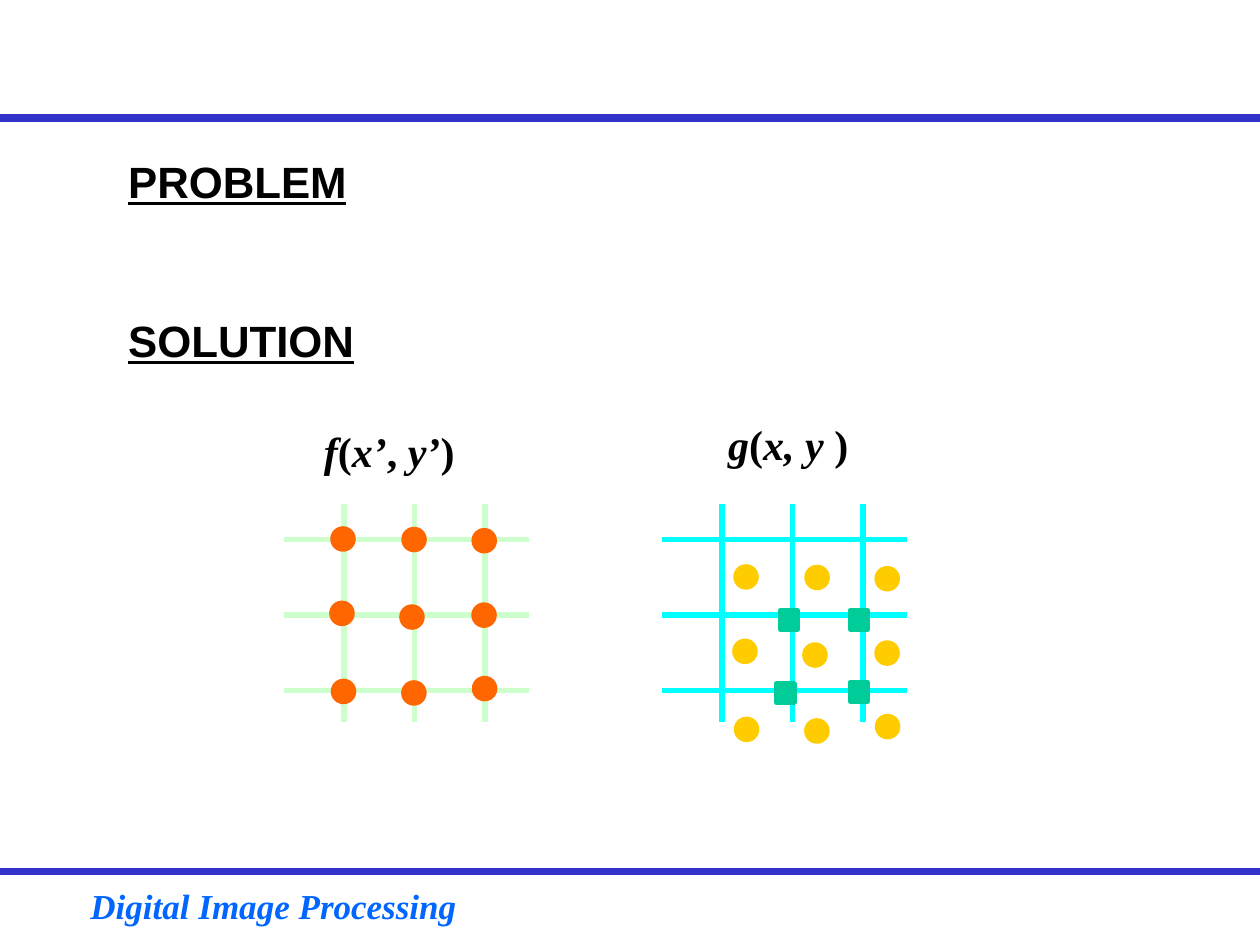
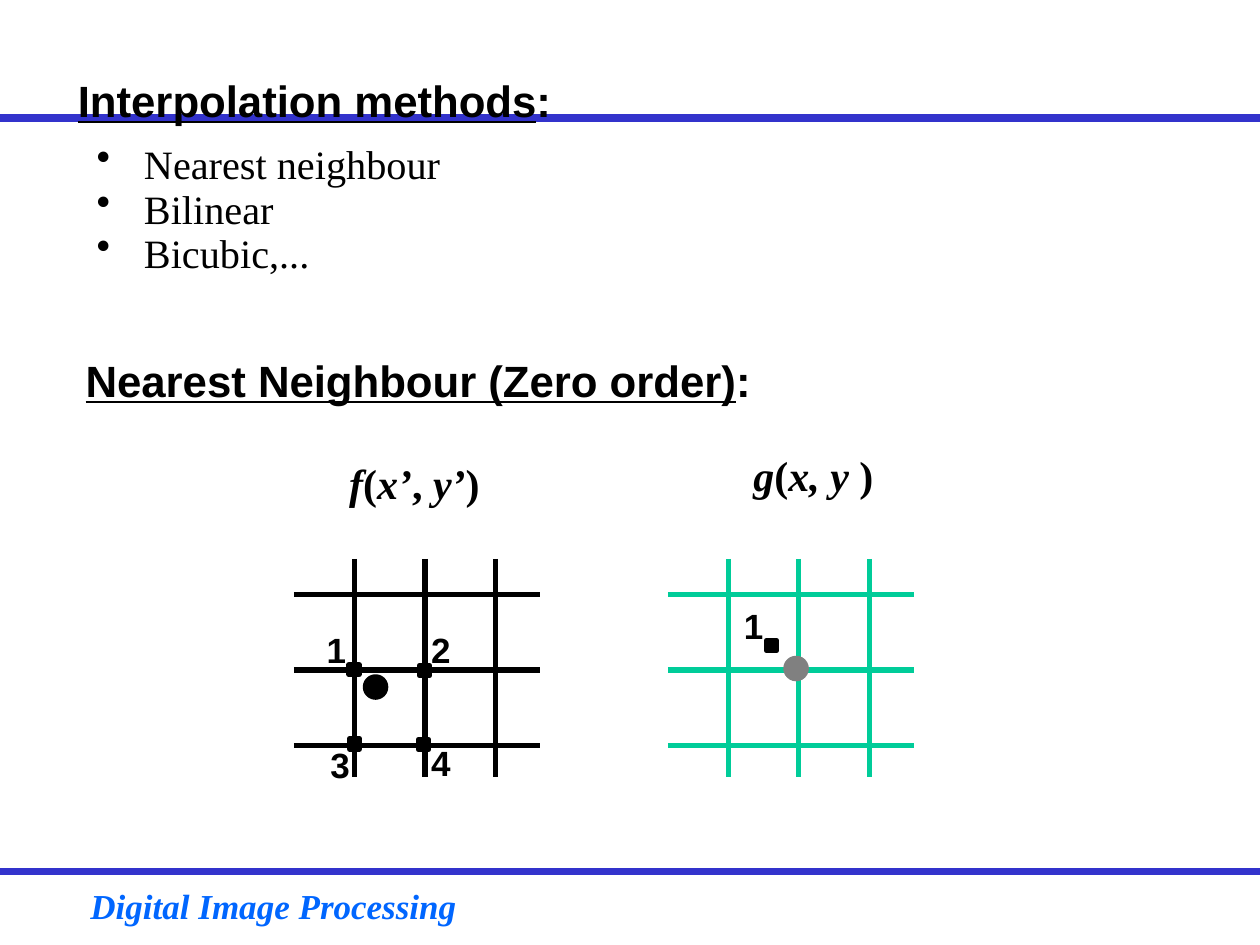
from dataclasses import dataclass
from lxml import etree
from pptx import Presentation
from pptx.dml.color import RGBColor as RGB
from pptx.enum.shapes import MSO_CONNECTOR as Link, MSO_SHAPE as Kind
from pptx.enum.text import MSO_ANCHOR as Anchor, PP_ALIGN as Align
from pptx.oxml.ns import qn
from pptx.util import Pt


@dataclass(frozen=True)
class Theme:
    rule: str = "3333CC"
    brand: str = "0066FF"
    ink: str = "000000"
    paper: str = "FFFFFF"
    mint: str = "CCFFCC"
    cyan: str = "00FFFF"
    green: str = "00CC99"
    orange: str = "FF6600"
    gold: str = "FFCC00"
    gray: str = "808080"
    sans: str = "Arial"
    serif: str = "Times New Roman"
    head: float = 25
    math: float = 24
    body: float = 23
    small: float = 20


T = Theme()
HEAD = {"name": T.sans, "size": Pt(T.head), "bold": True, "underline": True}
MATH = {"name": T.serif, "size": Pt(T.math), "bold": True, "italic": True}
BODY = {"name": T.serif, "size": Pt(T.body)}
LABEL = {"name": T.sans, "size": Pt(T.small), "bold": True}
FOOT = {"name": T.serif, "size": Pt(T.small), "bold": True, "italic": True}
CENTER = {"vertical_anchor": Anchor.MIDDLE, "word_wrap": False}

ROMAN = {"italic": False}
COLON = (":", {"underline": False})
SOURCE = [("f", {}), ("(", ROMAN), ("x’", {}), (", ", ROMAN), ("y’", {}), (")", ROMAN)]
TARGET = [("g", {}), ("(", ROMAN), ("x, y ", {}), (")", ROMAN)]

# Sample centres, measured from the first sample
DOTS = [(0, 0), (-0.6, 42.5), (0.3, 87.1),
        (40.6, 0.3), (39.4, 44.6), (40.5, 88),
        (80.7, 1), (80.6, 43.5), (80.9, 85.5)]


def apply(item, form):
    for name, value in form.items():
        setattr(item, name, value)


def write(slide, box, paras, form, color=T.ink, frame=None, **style):
    """Add a text box; each paragraph is a list of (text, changes) runs."""
    shape = slide.shapes.add_textbox(*map(Pt, box))
    apply(shape.text_frame, frame or {"word_wrap": True})
    for i, runs in enumerate(paras):
        para = shape.text_frame.paragraphs[0] if i == 0 else shape.text_frame.add_paragraph()
        look = style if i else {k: v for k, v in style.items() if k != "space_before"}
        apply(para, look)
        for text, change in runs:
            run = para.add_run()
            run.text = text
            apply(run.font, {**form, **change})
            run.font.color.rgb = RGB.from_string(color)
    return shape


def line(shapes, start, end, color, width=3):
    link = shapes.add_connector(Link.STRAIGHT, *map(Pt, (*start, *end)))
    link.line.color.rgb = RGB.from_string(color)
    link.line.width = Pt(width)
    etree.SubElement(link._element.spPr, qn("a:effectLst"))


def mark(shapes, kind, x, y, size, color):
    """Place a solid mark centred on x, y."""
    wide, high = size
    shape = shapes.add_shape(kind, *map(Pt, (x - wide / 2, y - high / 2, wide, high)))
    shape.shadow.inherit = False
    shape.fill.solid()
    shape.fill.fore_color.rgb = shape.line.color.rgb = RGB.from_string(color)
    shape.line.width = Pt(3)


def marks(shapes, kind, base, spots, size, color):
    for x, y in spots:
        mark(shapes, kind, base[0] + x, base[1] + y, size, color)


def dots(shapes, base, spots, color):
    marks(shapes, Kind.OVAL, base, spots, (11.6, 11.6), color)


def blocks(shapes, base, spots, size, color):
    marks(shapes, Kind.RECTANGLE, base, spots, size, color)


def labels(slide, base, items):
    for text, x, y in items:
        box = (base[0] + x - 13, base[1] + y - 15.5, 26, 31)
        write(slide, box, [[(text, {})]], LABEL, frame=CENTER, alignment=Align.CENTER)


def grid(slide, base, color):
    """Draw three lines each way."""
    left, top = base
    shapes = slide.shapes.add_group_shape().shapes
    for i in range(3):
        x, y = left + 34.6 + 40.3 * i, top + 20.2 + 43.2 * i
        line(shapes, (x, top), (x, top + 124.5), color)
        line(shapes, (left, y), (left + 140.4, y), color)


def math(slide, x, y, wide, runs):
    write(slide, (x, y, wide, 36), [runs], MATH, frame=CENTER, alignment=Align.CENTER)


def heads(slide, x, y):
    """Write both formulas over the grids."""
    math(slide, x, y, 89.3, SOURCE)
    math(slide, x + 231.2, y - 4.4, 82.8, TARGET)


def frame(deck):
    """Start a slide with its two rules and footer."""
    slide = deck.slides.add_slide(deck.slide_layouts[6])
    for y in (67.6, 498):
        line(slide.shapes, (0, y), (720, y), T.rule, 4.5)
    foot = write(slide, (44.6, 502, 226.8, 31.7),
                 [[("Digital Image Processing", {})]], FOOT, T.brand)
    foot.line.color.rgb = RGB.from_string(T.paper)
    return slide


def problem(deck):
    slide = frame(deck)
    write(slide, (66.2, 85, 478, 126.7), [[("PROBLEM", {})], [("SOLUTION", {})]],
          HEAD, space_before=Pt(61))
    heads(slide, 177.8, 239.8)

    # Source grid with samples on its nodes
    left, right = (162, 288), (378, 288)
    grid(slide, left, T.mint)
    grid(slide, right, T.cyan)
    dots(slide.shapes.add_group_shape().shapes, (196, 308), DOTS, T.orange)

    # Target grid with shifted samples and the nodes to fill
    dots(slide.shapes.add_group_shape().shapes, (426.3, 329.7), DOTS, T.gold)
    blocks(slide.shapes, right, [(72.9, 66.2), (70.8, 108), (112.8, 66.2), (112.8, 107.4)],
           (10, 10.8), T.green)


def bullets(slide, box, items):
    shape = write(slide, box, [[(item, {})] for item in items], BODY,
                  line_spacing=0.7, space_before=Pt(6.2))
    for para in shape.text_frame.paragraphs:
        props = para._p.get_or_add_pPr()
        props.set("marL", str(Pt(27)))
        props.set("indent", str(-Pt(27)))
        etree.SubElement(props, qn("a:buChar")).set("char", "•")


def methods(deck):
    slide = frame(deck)
    bullets(slide, (48.2, 83.6, 463.7, 92.9), ["Nearest neighbour", "Bilinear", "Bicubic,..."])
    write(slide, (41.8, 198.4, 478, 37.4),
          [[("Nearest Neighbour (Zero order)", {}), COLON]], HEAD)
    write(slide, (37.4, 38.6, 478, 37.4), [[("Interpolation methods", {}), COLON]], HEAD)
    heads(slide, 192.2, 257.8)

    # Source grid: the point and its four neighbours
    left, right = (168, 319.4), (381.6, 319.4)
    grid(slide, left, T.ink)
    dots(slide.shapes, left, [(46.6, 73.2)], T.ink)
    blocks(slide.shapes, left, [(34.3, 63.2), (74.6, 63.7), (34.6, 105.7), (74, 106)],
           (5.8, 5.8), T.ink)
    labels(slide, left, [("1", 24.2, 51.8), ("2", 84, 51.8),
                         ("3", 26.4, 117.3), ("4", 84, 116.6)])

    # Target grid: the node takes the value of neighbour 1
    grid(slide, right, T.green)
    dots(slide.shapes, right, [(73.3, 62.6)], T.gray)
    labels(slide, right, [("1", 49, 38.1)])
    blocks(slide.shapes, right, [(59.3, 49.5)], (5.8, 5.8), T.ink)


def main():
    deck = Presentation()
    deck.slide_width, deck.slide_height = Pt(720), Pt(540)
    problem(deck)
    methods(deck)
    deck.save("out.pptx")


if __name__ == "__main__":
    main()
